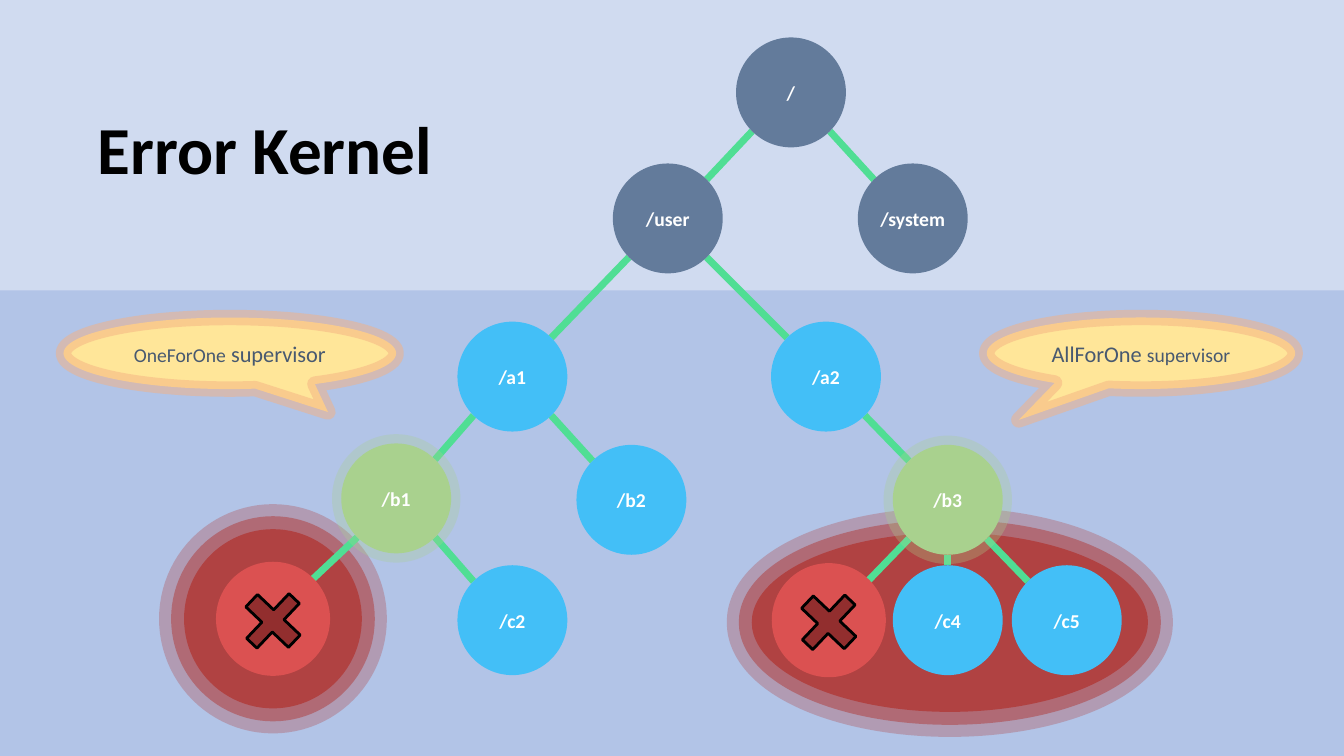
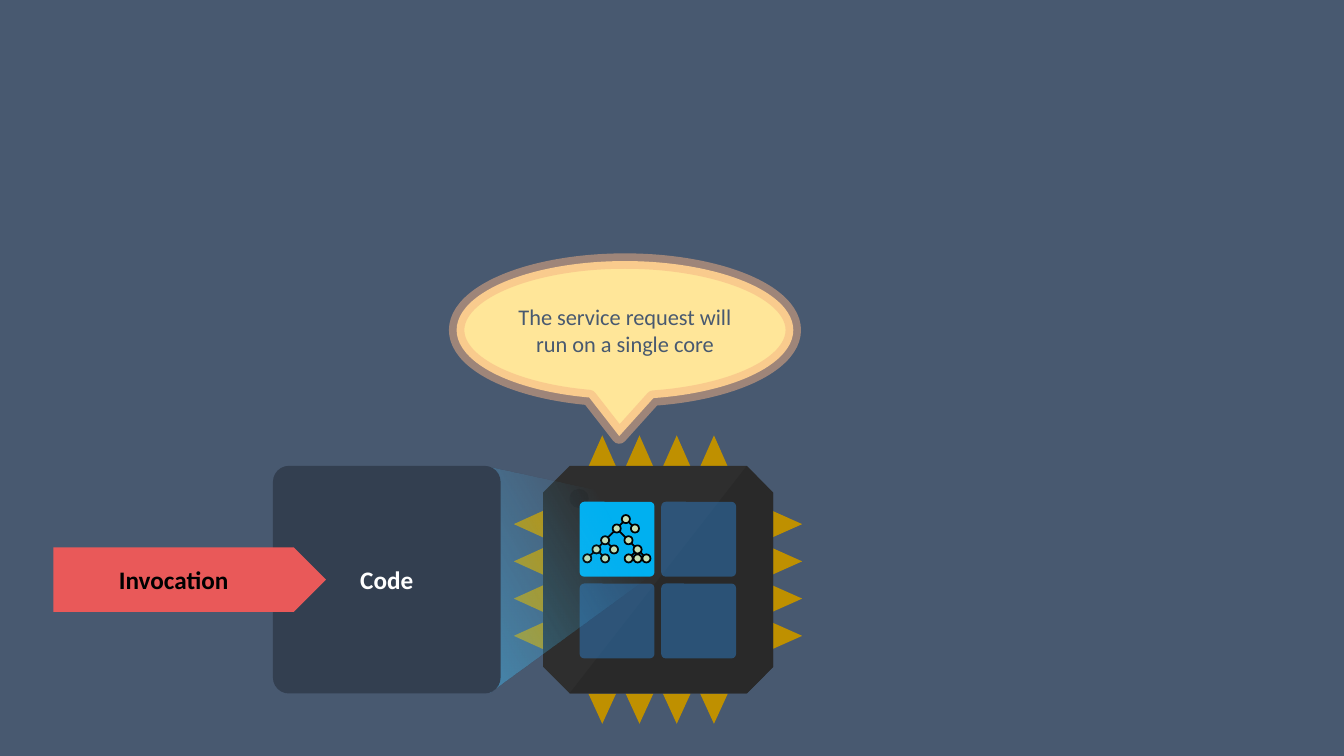
"""Build two slides: a supervision tree and its run on one processor core."""
from dataclasses import dataclass

from lxml.etree import SubElement
from pptx import Presentation
from pptx.dml.color import RGBColor
from pptx.enum.shapes import MSO_CONNECTOR, MSO_SHAPE
from pptx.enum.text import MSO_ANCHOR, MSO_AUTO_SIZE, PP_ALIGN
from pptx.oxml.ns import qn
from pptx.util import Pt


@dataclass
class Theme:
    font: str = "Calibri"
    head: int = 48
    label: int = 18
    note: int = 16
    small: int = 14
    white: str = "FFFFFF"
    black: str = "000000"
    sky: str = "B2C4E7"
    slate: str = "485970"
    steel: str = "637B9B"
    blue: str = "43BFF7"
    green: str = "A9D18E"
    branch: str = "50DE94"
    zone: str = "B04242"
    fail: str = "DB5151"
    cross: str = "922E2E"
    cream: str = "FFE699"
    peach: str = "F4B183"
    gold: str = "BF9000"
    chip: str = "2E2E2E"
    shade: str = "292929"
    idle: str = "2E75B6"
    busy: str = "00B0F0"
    leaf: str = "C5E0B4"
    code: str = "333F50"
    call: str = "E95959"


theme = Theme()

nodes = {
    "/": (565, 66), "/user": (477, 156), "/system": (652, 156),
    "/a1": (366, 269), "/a2": (590, 269),
    "/b1": (283, 356), "/b2": (451, 357), "/b3": (677, 357),
    "/c1": (195, 442), "/c2": (366, 443), "/c3": (592, 443),
    "/c4": (677, 443), "/c5": (762, 443),
}
edges = [
    ("/", "/user"), ("/", "/system"), ("/user", "/a1"), ("/user", "/a2"),
    ("/a1", "/b1"), ("/a1", "/b2"), ("/a2", "/b3"), ("/b1", "/c1"),
    ("/b1", "/c2"), ("/b3", "/c3"), ("/b3", "/c4"), ("/b3", "/c5"),
]
radius = 39.25


def paint(shape, fill=None, edge=None, wide=1, solid=100, clear=100,
          runs=(), ink=theme.white, bold=True):
    shape.shadow.inherit = False
    if fill:
        shape.fill.solid()
        shape.fill.fore_color.rgb = RGBColor.from_string(fill)
    else:
        shape.fill.background()
    if edge:
        shape.line.color.rgb = RGBColor.from_string(edge)
        shape.line.width = Pt(wide)
    else:
        shape.line.fill.background()
    for spot, share in (("./a:solidFill/a:srgbClr", solid),
                        ("./a:ln/a:solidFill/a:srgbClr", clear)):
        for tint in shape.element.spPr.xpath(spot):
            if share < 100:
                SubElement(tint, qn("a:alpha"), val=str(share * 1000))
    if runs:
        shape.text_frame.word_wrap = any(" " in text for text, size in runs)
        para = shape.text_frame.paragraphs[0]
        para.alignment = PP_ALIGN.CENTER
        para.font.name = theme.font
        para.font.bold = bold
        para.font.color.rgb = RGBColor.from_string(ink)
        para.font.size = Pt(runs[0][1])
        for text, size in runs:
            run = para.add_run()
            run.text = text
            if size != runs[0][1]:
                run.font.size = Pt(size)


def grow(shapes, left, top, scale, ink, wide):
    for above, below in edges:
        (x1, y1), (x2, y2) = nodes[above], nodes[below]
        side = (x2 > x1) - (x2 < x1)
        reach = radius * (0.707 if side else 1)
        ends = (x1 + side * reach, y1 + reach, x2 - side * reach, y2 - reach)
        spots = [Pt(base + scale * end)
                 for base, end in zip((left, top) * 2, ends)]
        line = shapes.add_connector(MSO_CONNECTOR.STRAIGHT, *spots)
        line.line.color.rgb = RGBColor.from_string(ink)
        line.line.width = Pt(wide)
        SubElement(line.element.spPr, qn("a:effectLst"))


deck = Presentation()
deck.slide_width, deck.slide_height = Pt(960), Pt(540)
kernel = deck.slides.add_slide(deck.slide_layouts[5])
core = deck.slides.add_slide(deck.slide_layouts[6])
for slide, back in ((kernel, theme.sky), (core, theme.slate)):
    slide.background.fill.solid()
    slide.background.fill.fore_color.rgb = RGBColor.from_string(back)

shapes = kernel.shapes
title = shapes.title
title.left, title.top, title.width, title.height = map(Pt, (62.6, 72.7, 299, 65.5))
frame = title.text_frame
frame.text = "Error Kernel"
frame.auto_size = MSO_AUTO_SIZE.NONE
frame.vertical_anchor = MSO_ANCHOR.TOP
para = frame.paragraphs[0]
para.alignment = PP_ALIGN.LEFT
para.font.name = theme.font
para.font.size = Pt(theme.head)
para.font.bold = True
para.font.color.rgb = RGBColor.from_string(theme.black)

band = shapes.add_shape(MSO_SHAPE.RECTANGLE, 0, 0, Pt(960), Pt(207.5))
paint(band, theme.white, solid=40)
title.element.addprevious(band.element)

for box in ((537, 380.5, 283, 128), (131.5, 378, 127, 128)):
    for fill, wide, clear in ((theme.zone, 18.5, 54), (None, 35.75, 31)):
        zone = shapes.add_shape(MSO_SHAPE.OVAL, *map(Pt, box))
        paint(zone, fill, theme.zone, wide, clear=clear)

grow(shapes, 0, 0, 1, theme.branch, 5)

failed, halo = ("/c1", "/c3"), ("/b1", "/b3")
tints = dict.fromkeys(nodes, theme.blue)
tints.update(dict.fromkeys(("/", "/user", "/system"), theme.steel))
tints.update(dict.fromkeys(halo, theme.green))
tints.update(dict.fromkeys(failed, theme.fail))
for name in sorted(nodes, key=lambda name: name in halo):
    x, y = nodes[name]
    disc = shapes.add_shape(MSO_SHAPE.OVAL, Pt(x - radius), Pt(y - radius),
                            Pt(2 * radius), Pt(2 * radius))
    if name in failed:
        paint(disc, theme.fail, theme.fail, 3)
        mark = shapes.add_shape(MSO_SHAPE.CROSS, Pt(x - 22), Pt(y - 19.5),
                                Pt(44), Pt(42))
        mark.adjustments[0] = 0.379
        mark.rotation = 313.5
        paint(mark, theme.cross, theme.black, 2)
    else:
        edge = theme.green if name in halo else None
        paint(disc, tints[name], edge, 13.25, clear=30,
              runs=[(name, theme.small)])

shapes = core.shapes
pins = []
for step in range(4):
    x, y = 430.2 + 26.6 * step, 374.4 + 26.6 * step
    for base, tip in ((333.4, 311), (495.4, 517)):
        pins.append([(x - 9.9, base), (x, tip), (x + 9.9, base)])
    for base, tip in ((388.8, 367), (550.8, 573)):
        pins.append([(base, y - 9.9), (tip, y), (base, y + 9.9)])
pen = shapes.build_freeform(*map(Pt, pins[0][0]), scale=1)
for pin in pins:
    start, *rest = [tuple(map(Pt, spot)) for spot in pin]
    pen.move_to(*start)
    pen.add_line_segments(rest, close=True)
paint(pen.convert_to_shape(), theme.gold)

chip = shapes.add_shape(MSO_SHAPE.OCTAGON, *map(Pt, (388, 332.8, 164.2, 162.6)))
chip.adjustments[0] = 0.117
paint(chip, theme.chip)
gloss = [(406.8, 495.4), (533.5, 332.8), (552.2, 352), (552.2, 476.6), (533.5, 495.4)]
pen = shapes.build_freeform(*map(Pt, gloss[0]), scale=1)
pen.add_line_segments([tuple(map(Pt, spot)) for spot in gloss[1:]], close=True)
paint(pen.convert_to_shape(), theme.shade)
dot = shapes.add_shape(MSO_SHAPE.OVAL, *map(Pt, (406.8, 349.2, 13.7, 13.7)))
paint(dot, theme.shade)

for spot in range(4):
    row, col = divmod(spot, 2)
    cell = shapes.add_shape(MSO_SHAPE.ROUNDED_RECTANGLE, Pt(414 + 58.3 * col),
                            Pt(358.4 + 58.4 * row), Pt(53.5), Pt(53.5))
    cell.adjustments[0] = 0.062
    paint(cell, theme.idle if spot else theme.busy, solid=55 if spot else 100)

left, top, scale = 405, 365.9, 0.0745
grow(shapes, left, top, scale, theme.black, 1.25)
tiny = radius * scale
for x, y in nodes.values():
    bead = shapes.add_shape(MSO_SHAPE.OVAL, Pt(left + x * scale - tiny),
                            Pt(top + y * scale - tiny), Pt(2 * tiny), Pt(2 * tiny))
    paint(bead, theme.leaf, theme.black, 1.25)

beam = [(347.8, 333.4), (463.7, 358.6), (466.6, 361.4),
        (466.6, 408.2), (463.7, 411.8), (350.6, 494.6)]
pen = shapes.build_freeform(*map(Pt, beam[0]), scale=1)
pen.add_line_segments([tuple(map(Pt, spot)) for spot in beam[1:]], close=True)
light = pen.convert_to_shape()
paint(light)
light.fill.gradient()
light.fill.gradient_angle = 30
for stop, place in zip(light.fill.gradient_stops, (0, 0.76)):
    stop.position = place
    stop.color.rgb = RGBColor.from_string(theme.blue)
for tint, share in zip(light.element.spPr.xpath("./a:gradFill//a:srgbClr"), (45, 0)):
    SubElement(tint, qn("a:alpha"), val=str(share * 1000))

for kind, box, bends, fill, text, ink in (
    (MSO_SHAPE.ROUNDED_RECTANGLE, (195, 332.8, 162.6, 162.6), [0.07],
     theme.code, "Code", theme.white),
    (MSO_SHAPE.RIGHT_ARROW, (38.2, 391, 194.6, 46), [1, 0.5],
     theme.call, "Invocation", theme.black),
):
    block = shapes.add_shape(kind, *map(Pt, box))
    for spot, bend in enumerate(bends):
        block.adjustments[spot] = bend
    paint(block, fill, runs=[(text, theme.label)], ink=ink)

for slide, box, tail, runs in (
    (kernel, (45.4, 226.8, 237.6, 51.1), (0.295, 0.821),
     [("OneForOne", theme.small), (" supervisor", theme.note)]),
    (kernel, (704.9, 226.8, 220.3, 51.1), (-0.396, 0.931),
     [("AllForOne ", theme.note), ("supervisor", theme.small)]),
    (core, (326.2, 186.5, 240.5, 98.6), (-0.017, 0.768),
     [("The service request will run on a single core", theme.note)]),
):
    note = slide.shapes.add_shape(MSO_SHAPE.OVAL_CALLOUT, *map(Pt, box))
    note.adjustments[0], note.adjustments[1] = tail
    paint(note, theme.cream, theme.peach, 11, clear=50, runs=runs,
          ink=theme.slate, bold=False)

deck.save("out.pptx")
